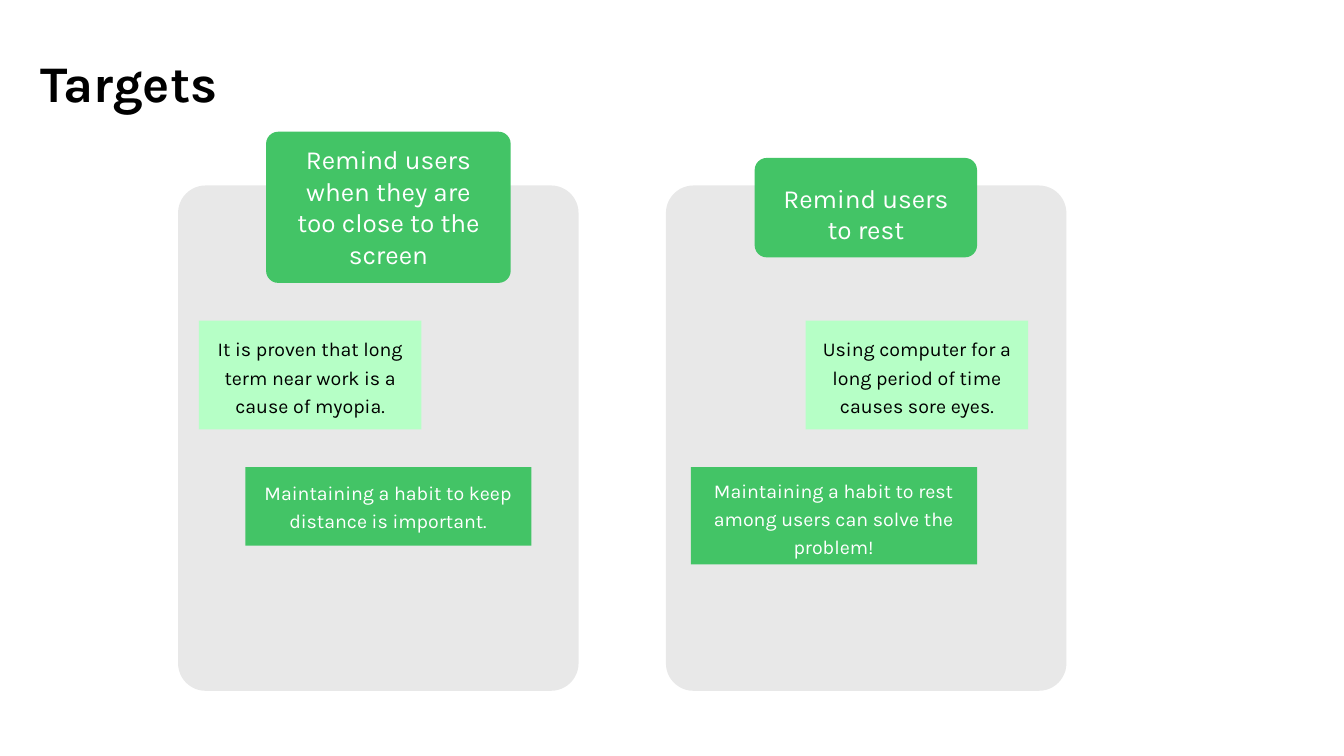
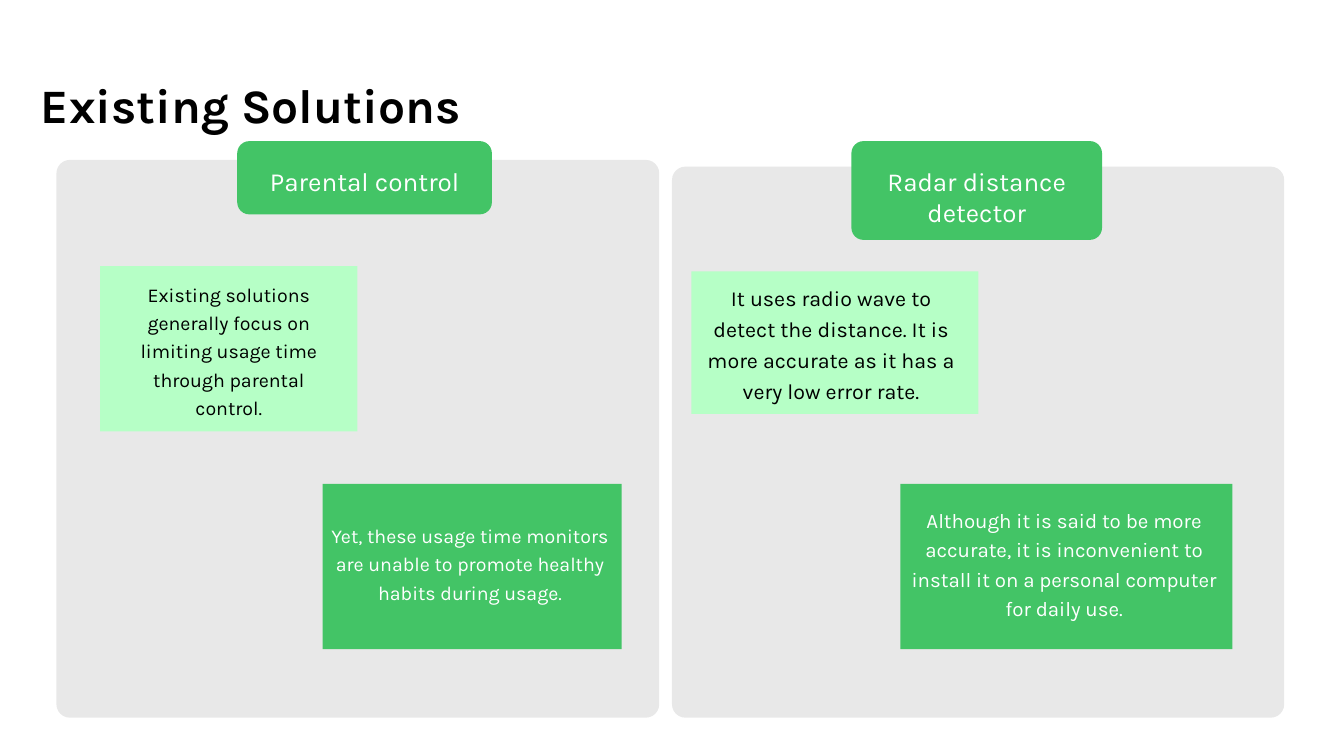
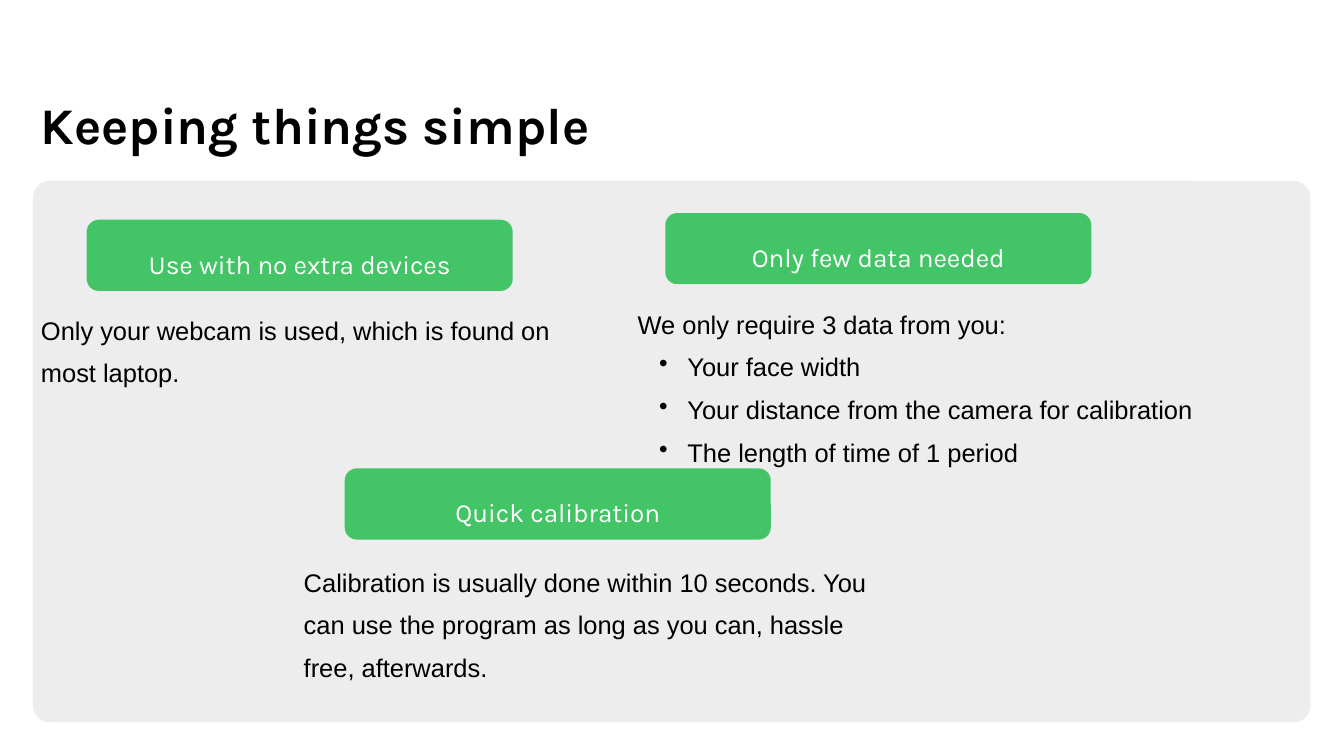
import pptx
import pptx.dml.color
import pptx.enum.shapes
import pptx.enum.text
import pptx.util
import lxml.etree
from pptx.oxml.ns import qn
from pptx.util import Inches

GREEN = "43C466"
MINT = "B6FFC6"
GREY = "E8E8E8"
PALE_GREY = "EDEDED"
BLACK = "000000"
WHITE = "FFFFFF"
HEADING_FONT = "Karla"
BODY_FONT = "Arial"
BODY_SIZE = 27.3


def color(hex_string):
    return pptx.dml.color.RGBColor.from_string(hex_string)


def add_bullet(para, left=0.74, hanging=0.42):
    properties = para._p.get_or_add_pPr()
    properties.set("marL", str(Inches(left)))
    properties.set("indent", str(-Inches(hanging)))
    bullet = lxml.etree.SubElement(properties, qn("a:buChar"))
    bullet.set("char", "•")


class Deck:
    """Holds the presentation, its style and the current page."""

    def __init__(self):
        self.deck = pptx.Presentation()
        self.deck.slide_width = Inches(20)
        self.deck.slide_height = Inches(11.25)
        self.page = None

    def add_page(self):
        self.page = self.deck.slides.add_slide(self.deck.slide_layouts[6])
        self.page.background.fill.solid()
        self.page.background.fill.fore_color.rgb = color(WHITE)

    def text(self, text, at, size=28, font=HEADING_FONT, ink=BLACK, bold=False,
             centered=False, spacing=1.0, inset=0, middle=False, bullets=()):
        """Write text, then any bullets, in a box at (left, top, width, height)."""
        box = self.page.shapes.add_textbox(*map(Inches, at))
        frame = box.text_frame
        frame.word_wrap = True
        frame.margin_left = frame.margin_right = Inches(inset)
        frame.margin_top = frame.margin_bottom = Inches(inset)
        if middle:
            frame.vertical_anchor = pptx.enum.text.MSO_ANCHOR.MIDDLE
        else:
            frame.auto_size = pptx.enum.text.MSO_AUTO_SIZE.SHAPE_TO_FIT_TEXT
        for index, line in enumerate([text, *bullets]):
            para = frame.add_paragraph() if index else frame.paragraphs[0]
            if index:
                add_bullet(para)
            para.line_spacing = spacing
            if centered:
                para.alignment = pptx.enum.text.PP_ALIGN.CENTER
            span = para.add_run()
            span.text = line
            span.font.size = pptx.util.Pt(size)
            span.font.name = font
            span.font.bold = bold
            span.font.color.rgb = color(ink)

    def block(self, at, fill, radius=0):
        kinds = pptx.enum.shapes.MSO_SHAPE
        kind = kinds.ROUNDED_RECTANGLE if radius else kinds.RECTANGLE
        shape = self.page.shapes.add_shape(kind, *map(Inches, at))
        if radius:
            shape.adjustments[0] = radius / min(at[2:])
        shape.shadow.inherit = False
        shape.fill.solid()
        shape.fill.fore_color.rgb = color(fill)
        shape.line.fill.background()

    def title(self, text, top, size=55):
        self.text(text, (0.61, top, 9.39, 1.01), size=size, bold=True, spacing=1.4)

    def label(self, text, at, drop=0.36, size=28, spacing=1.0):
        """Draw a green heading whose text starts `drop` inches below its top."""
        left, top, width, height = at
        margin = 0.27
        self.block(at, GREEN, radius=0.18)
        self.text(text, (left + margin, top + drop, width - 2 * margin, height - 2 * drop),
                  size=size, ink=WHITE, centered=True, spacing=spacing)

    def note(self, text, at, text_at, fill=MINT, size=21):
        self.block(at, fill)
        self.text(text, text_at, size=size, ink=WHITE if fill == GREEN else BLACK,
                  centered=True, spacing=1.2, inset=0.07, middle=True)

    def body(self, text, at, bullets=()):
        self.text(text, at, size=BODY_SIZE, font=BODY_FONT, spacing=1.4, bullets=bullets)

    def save(self):
        self.deck.save("out.pptx")


def add_targets(deck):
    deck.add_page()
    for left in (2.65, 9.91):
        deck.block((left, 2.76, 5.96, 7.52), GREY, radius=0.41)
    deck.label("Remind users when they are too close to the screen",
               (3.96, 1.96, 3.64, 2.25), drop=0.18)
    deck.label("Remind users to rest", (11.23, 2.35, 3.31, 1.48))
    deck.title("Targets", 0.39)
    deck.note("It is proven that long term near work is a cause of myopia.",
              (2.96, 4.77, 3.31, 1.62), (3.07, 5.02, 3.09, 1.12))
    deck.note("Maintaining a habit to keep distance is important.",
              (3.65, 6.95, 4.26, 1.17), (3.83, 6.95, 3.89, 1.12), fill=GREEN)
    deck.note("Using computer for a long period of time causes sore eyes.",
              (11.99, 4.77, 3.31, 1.62), (12.08, 5.02, 3.13, 1.12))
    deck.note("Maintaining a habit to rest among users can solve the problem!",
              (10.28, 6.95, 4.26, 1.45), (10.42, 7.12, 3.97, 1.12), fill=GREEN)


def add_existing_solutions(deck):
    deck.add_page()
    deck.block((0.84, 2.38, 8.97, 8.3), GREY, radius=0.2)
    deck.block((10, 2.48, 9.11, 8.2), GREY, radius=0.2)
    deck.label("Parental control", (3.53, 2.1, 3.79, 1.09))
    deck.label("Radar distance detector", (12.67, 2.1, 3.73, 1.47), size=27.8)
    deck.title("Existing Solutions", 0.78, size=51.4)
    deck.note("Existing solutions generally focus on limiting usage time "
              "through parental control.",
              (1.49, 3.96, 3.83, 2.46), (1.68, 4.13, 3.45, 2.12))
    deck.note("Yet, these usage time monitors are unable to promote healthy "
              "habits during usage.",
              (4.8, 7.2, 4.45, 2.46), (4.86, 7.3, 4.27, 2.12), fill=GREEN)
    deck.note("It uses radio wave to detect the distance. It is more accurate "
              "as it has a very low error rate.",
              (10.29, 4.04, 4.27, 2.12), (10.35, 4.15, 4.04, 1.88), size=23)
    deck.note("Although it is said to be more accurate, it is inconvenient to "
              "install it on a personal computer for daily use.",
              (13.4, 7.2, 4.94, 2.46), (13.46, 7.3, 4.75, 2.12), fill=GREEN, size=22)


def add_keeping_things_simple(deck):
    deck.add_page()
    deck.block((0.49, 2.69, 19.01, 8.06), PALE_GREY, radius=0.25)
    deck.title("Keeping things simple", 1.02)
    for text, left, top in (("Use with no extra devices", 1.29, 3.27),
                            ("Only few data needed", 9.9, 3.17),
                            ("Quick calibration", 5.13, 6.97)):
        deck.label(text, (left, top, 6.34, 1.06), drop=0.28, spacing=1.3)
    deck.body("Only your webcam is used, which is found on most laptop.",
              (0.61, 4.5, 7.69, 1.08))
    deck.body("We only require 3 data from you:", (9.49, 4.41, 9.54, 2.39),
              bullets=("Your face width",
                       "Your distance from the camera for calibration",
                       "The length of time of 1 period"))
    deck.body("Calibration is usually done within 10 seconds. You can use the "
              "program as long as you can, hassle free, afterwards.",
              (4.52, 8.25, 8.65, 1.6))


def main():
    deck = Deck()
    add_targets(deck)
    add_existing_solutions(deck)
    add_keeping_things_simple(deck)
    deck.save()


if __name__ == "__main__":
    main()
